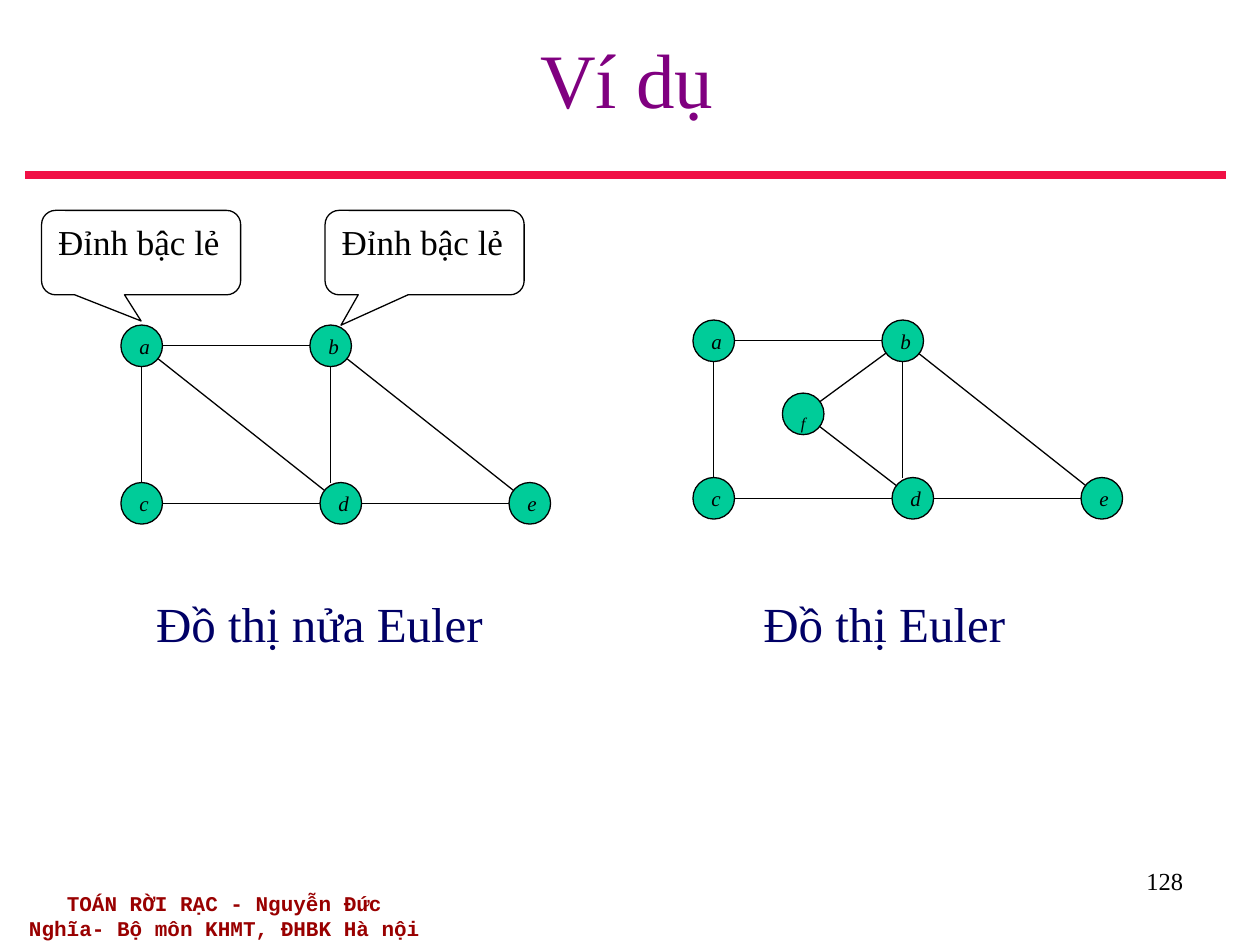
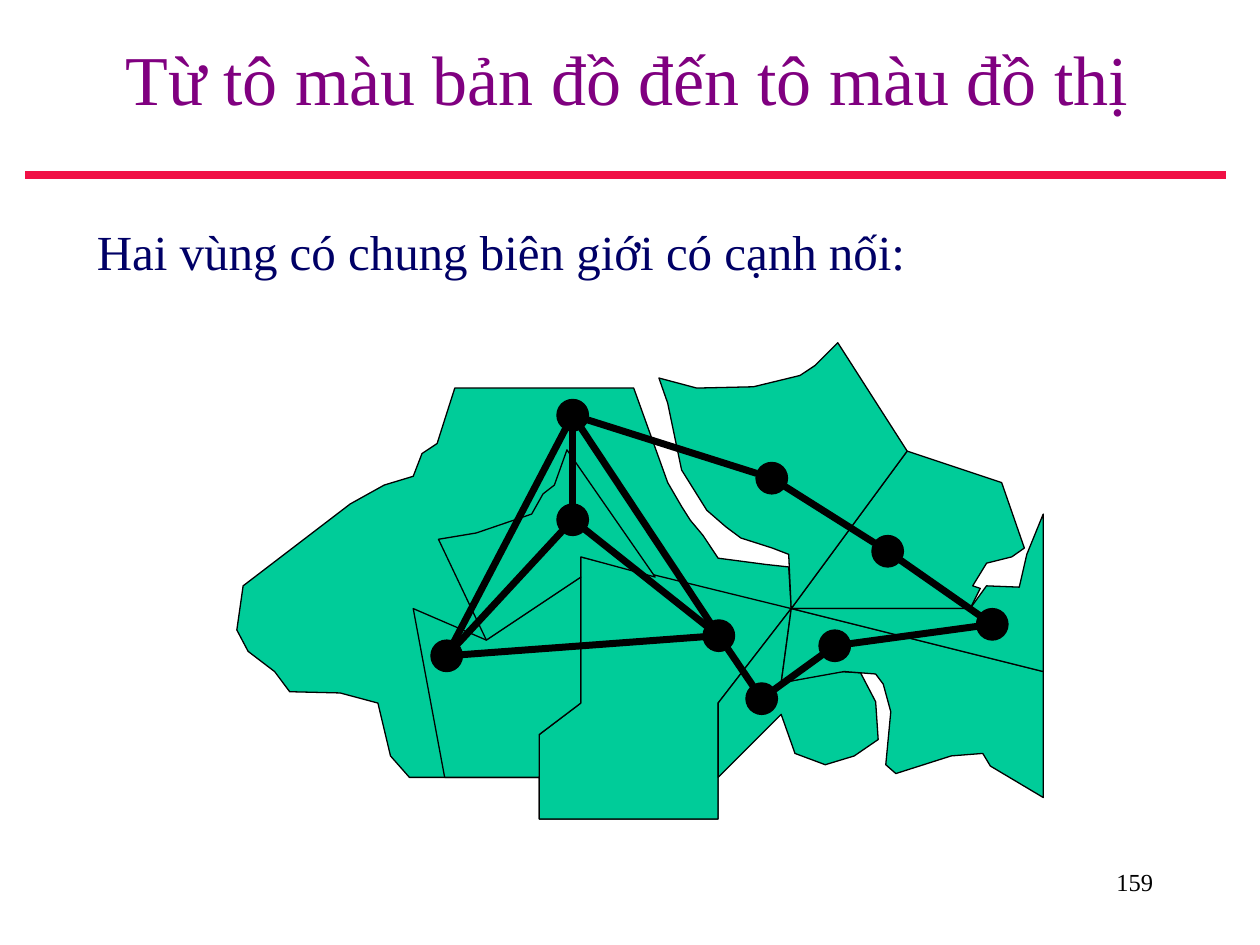
"""Two slides on graphs: Euler graphs and going from map colouring to graph colouring."""
from math import hypot
from lxml.etree import SubElement
from pptx import Presentation
from pptx.dml.color import RGBColor
from pptx.enum.shapes import MSO_CONNECTOR, MSO_SHAPE
from pptx.enum.text import MSO_ANCHOR, PP_ALIGN
from pptx.oxml.ns import qn
from pptx.util import Pt

PX = 9144
SERIF, MONO = "Times New Roman", "Courier New"
WHITE = RGBColor(0xFF, 0xFF, 0xFF)
BLACK = RGBColor(0x00, 0x00, 0x00)
GREEN = RGBColor(0x00, 0xCC, 0x99)
PURPLE = RGBColor(0x80, 0x00, 0x80)
NAVY = RGBColor(0x00, 0x00, 0x66)
MAROON = RGBColor(0x99, 0x00, 0x00)
RED = RGBColor(0xF0, 0x10, 0x45)

FOOTER = "TOÁN RỜI RẠC - Nguyễn Đức Nghĩa- Bộ môn KHMT, ĐHBK Hà nội"
CAPTIONS = [("Đồ thị nửa Euler", 114), ("Đồ thị Euler", 596)]
CALLOUT = "Đỉnh bậc lẻ"
CALLOUTS = [(33, 0, 0.81), (258, -0.42, 0.86)]

NODE = 33
NODES = {"a": (0, 0), "b": (150, 0), "c": (0, 125), "d": (158, 125), "e": (308, 125)}
EDGES = ["ab", "ac", "cd", "bd", "de", "be"]
GRAPHS = [
    {"origin": (96, 258), "nodes": {}, "edges": ["ad"]},
    {"origin": (550, 254), "nodes": {"f": (71, 58)}, "edges": ["fd", "bf"]},
]

CAPITAL = 25
CAPITALS = {"A": (442, 317), "B": (442, 400), "C": (342, 508),
            "D": (558, 492), "E": (592, 542), "F": (650, 500),
            "G": (775, 483), "H": (692, 425), "I": (600, 367)}
BORDERS = ["CB", "DA", "BA", "CD", "DB", "AI", "CA", "ED", "EF", "GF", "GH", "IH"]

HUB, NORTH, EAST, GULF = (628, 483), (720, 358), (828, 533), (770, 483)
NECK, SOUTH, BAY = (570, 558), (570, 617), (620, 542)
CROSS, BEND, STEP = (461, 442), (461, 558), (428, 583)
FOOT, CORNER, PASS, NOTCH = (428, 617), (428, 650), (386, 508), (461, 458)
BASE = (570, 650)
REGIONS = [
    [(503, 308), (361, 308), (353, 333), (347, 352), (335, 360), (328, 378),
     (305, 385), (278, 400), (193, 465), (188, 500), (197, 517), (218, 533),
     (230, 549), (270, 550), (300, 558), (310, 600), (325, 617), FOOT, CORNER,
     BASE, NECK, HUB, (626, 450), (608, 448), (570, 443), (558, 425),
     (548, 413), (541, 402), (530, 383)],
    [CORNER, STEP, BEND, CROSS, HUB, NECK, BASE],
    [(353, 617), (328, 483), PASS, NOTCH, BEND, STEP, FOOT],
    [PASS, (348, 428), (378, 423), (422, 408), (431, 392), (440, 385),
     (450, 357), (520, 458), CROSS, NOTCH],
    [SOUTH, (620, 567), (631, 598), (655, 607), (678, 600), (697, 587),
     (695, 557), (683, 534), (666, 533), BAY, HUB, NECK],
    [HUB, EAST, (828, 633), (786, 608), (780, 598), (755, 600), (711, 614),
     (703, 607), (707, 565), (701, 543), (695, 535), (670, 533), BAY],
    [HUB, GULF, (778, 467), (772, 465), (783, 447), (803, 442), (813, 435),
     (795, 383), NORTH],
    [GULF, HUB, EAST, (828, 408), (815, 440), (809, 466), (783, 465)],
    [HUB, (626, 440), (613, 435), (588, 427), (576, 418), (561, 405),
     (541, 373), (530, 320), (523, 300), (553, 308), (598, 307), (635, 298),
     (647, 290), (665, 272), NORTH],
]


def emu(*values):
    return [round(v * PX) for v in values]


def write(sp, text, size, color, align=PP_ALIGN.LEFT, font=SERIF, **style):
    tf = sp.text_frame
    tf.text = text
    p = tf.paragraphs[0]
    p.alignment = align
    f = p.runs[0].font
    f.size, f.name, f.color.rgb = Pt(size), font, color
    for name, value in style.items():
        setattr(f, name, value)
    return p.runs[0]


def add_text(s, box, *args, **style):
    sp = s.shapes.add_textbox(*emu(*box))
    sp.text_frame.word_wrap = True
    write(sp, *args, **style)
    return sp


def paint(sp, fill):
    sp.shadow.inherit = False
    sp.fill.solid()
    sp.fill.fore_color.rgb = fill
    sp.line.color.rgb = BLACK
    sp.line.width = Pt(0.75)


def add_shape(s, kind, box, fill):
    sp = s.shapes.add_shape(kind, *emu(*box))
    paint(sp, fill)
    return sp


def add_line(s, ends, width=0.75, color=BLACK):
    line = s.shapes.add_connector(MSO_CONNECTOR.STRAIGHT, *emu(*ends))
    line.line.color.rgb = color
    line.line.width = Pt(width)
    SubElement(line._element.spPr, qn("a:effectLst"))


def add_edges(s, edges, places, size, width):
    radius = size / 2
    for start, end in edges:
        x1, y1, x2, y2 = (v + radius for v in places[start] + places[end])
        if abs(x2 - x1) < radius:
            x2 = x1
        length = hypot(x2 - x1, y2 - y1)
        dx, dy = (x2 - x1) / length * radius, (y2 - y1) / length * radius
        add_line(s, (x1 + dx, y1 + dy, x2 - dx, y2 - dy), width)


def add_slide(prs, title, size, number, number_box):
    s = prs.slides.add_slide(prs.slide_layouts[6])
    add_line(s, (20, 139, 973, 139), 4.5, RED)
    sp = add_text(s, (20, 0, 955, 123), title, size, PURPLE, PP_ALIGN.CENTER)
    sp.text_frame.vertical_anchor = MSO_ANCHOR.MIDDLE
    add_text(s, number_box, number, 14, BLACK, PP_ALIGN.RIGHT)
    return s


def add_graph(s, origin, nodes, edges):
    ox, oy = origin
    places = {name: (ox + x, oy + y) for name, (x, y) in {**NODES, **nodes}.items()}
    for name, (x, y) in places.items():
        sp = add_shape(s, MSO_SHAPE.OVAL, (x, y, NODE, NODE), GREEN)
        sp.text_frame.word_wrap = False
        sp.text_frame.vertical_anchor = MSO_ANCHOR.MIDDLE
        r = write(sp, name, 16 if name == "f" else 12, BLACK, italic=True)
        if name == "f":
            r.font._element.set("baseline", "-25000")
    add_edges(s, EDGES + edges, places, NODE, 0.75)


def add_region(s, region):
    start, *rest = [emu(*point) for point in region]
    builder = s.shapes.build_freeform(*start)
    builder.add_line_segments(rest, close=True)
    paint(builder.convert_to_shape(), GREEN)


def euler_slide(prs):
    s = add_slide(prs, "Ví dụ", 44, "128", (716, 682, 233, 52))
    for text, x in CAPTIONS:
        add_text(s, (x, 466, 350, 60), text, 28, NAVY)
    add_text(s, (12, 702, 332, 40), FOOTER, 12, MAROON, PP_ALIGN.CENTER, MONO, bold=True)
    for graph in GRAPHS:
        add_graph(s, **graph)
    for x, tip_x, tip_y in CALLOUTS:
        sp = add_shape(s, MSO_SHAPE.ROUNDED_RECTANGULAR_CALLOUT, (x, 167, 158, 67), WHITE)
        sp.adjustments[0], sp.adjustments[1] = tip_x, tip_y
        sp.text_frame.vertical_anchor = MSO_ANCHOR.TOP
        write(sp, CALLOUT, 20, BLACK)


def map_slide(prs):
    s = add_slide(prs, "Từ tô màu bản đồ đến tô màu đồ thị", 40, "159", (717, 683, 208, 50))
    add_text(s, (67, 171, 850, 60), "Hai vùng có chung biên giới có cạnh nối:", 28, NAVY)
    for region in REGIONS:
        add_region(s, region)
    for x, y in CAPITALS.values():
        add_shape(s, MSO_SHAPE.OVAL, (x, y, CAPITAL, CAPITAL), BLACK)
    add_edges(s, BORDERS, CAPITALS, CAPITAL, 4)


def main():
    prs = Presentation()
    prs.slide_width, prs.slide_height = emu(1000, 750)
    euler_slide(prs)
    map_slide(prs)
    prs.save("out.pptx")


if __name__ == "__main__":
    main()
